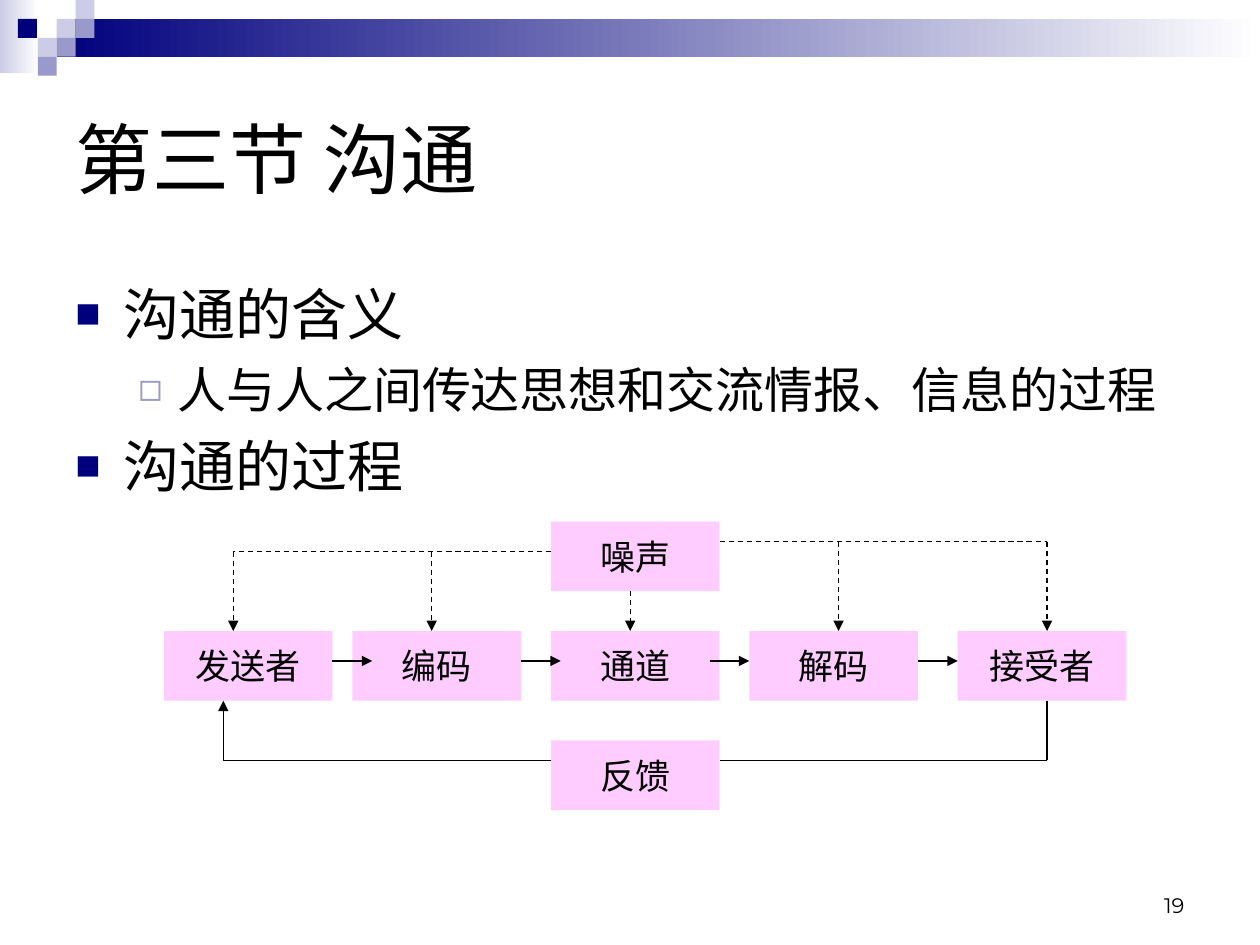
from collections import namedtuple
from dataclasses import dataclass

from lxml import etree
from pptx import Presentation
from pptx.dml.color import RGBColor
from pptx.enum.dml import MSO_LINE
from pptx.enum.shapes import MSO_CONNECTOR, MSO_SHAPE
from pptx.enum.text import MSO_ANCHOR, MSO_AUTO_SIZE, PP_ALIGN
from pptx.oxml.ns import qn
from pptx.util import Inches, Pt

RECT = MSO_SHAPE.RECTANGLE
LINE = MSO_CONNECTOR.STRAIGHT
DASH = MSO_LINE.DASH
LEFT, MID, RIGHT = PP_ALIGN.LEFT, PP_ALIGN.CENTER, PP_ALIGN.RIGHT
TOP, CENTER, BASE = MSO_ANCHOR.TOP, MSO_ANCHOR.MIDDLE, MSO_ANCHOR.BOTTOM
FIXED = MSO_AUTO_SIZE.NONE

Box = namedtuple("Box", "x y w h")
Level = namedtuple("Level", "size mark color scale indent hang gap")


@dataclass(frozen=True)
class Theme:
    ink: str = "000000"
    white: str = "FFFFFF"
    navy: str = "00007D"
    blue: str = "9999CC"
    pale: str = "CCCCE6"
    pink: str = "FFCCFF"
    latin: str = "Arial"
    digit: str = "Montserrat"
    asian: str = "Noto Sans CJK SC"
    title: int = 44
    label: int = 20
    page: int = 12
    line: float = 0.75
    levels: tuple = (
        Level(32, "■", "00007D", 75, 0.38, 0.38, 8),
        Level(28, "◻", "9999CC", 80, 0.81, 0.31, 7),
    )


T = Theme()
WIDE, HIGH = 10, 7.5


def rgb(code):
    return RGBColor.from_string(code)


def share(x, y, w, h):
    return Box(x * WIDE, y * HIGH, w * WIDE, h * HIGH)


def cells(box, cols, rows):
    dx, dy = box.w / cols, box.h / rows

    def cell(x, y, w=0, h=0):
        return Box(box.x + x * dx, box.y + y * dy, w * dx, h * dy)

    return cell


def write(para, text, size, face):
    run = para.add_run()
    run.text = text
    run.font.size = Pt(size)
    run.font.color.rgb = rgb(T.ink)
    run.font.name = face
    east = etree.SubElement(run.font._element, qn("a:ea"))
    east.set("typeface", T.asian)


def setup(shape, anchor, wrap=True):
    frame = shape.text_frame
    frame.auto_size = FIXED
    frame.word_wrap = wrap
    frame.vertical_anchor = anchor
    return frame


def block(slide, box, *colors):
    shape = slide.shapes.add_shape(RECT, *map(Inches, box))
    shape.shadow.inherit = False
    shape.line.fill.background()
    if len(colors) == 1:
        shape.fill.solid()
        shape.fill.fore_color.rgb = rgb(colors[0])
    else:
        shape.fill.gradient()
        shape.fill.gradient_angle = 0
        for stop, color in zip(shape.fill.gradient_stops, colors):
            stop.color.rgb = rgb(color)
    return shape


def link(slide, start, end, arrow=False, dash=False):
    ends = map(Inches, (start.x, start.y, end.x, end.y))
    wire = slide.shapes.add_connector(LINE, *ends)
    wire.line.color.rgb = rgb(T.ink)
    wire.line.width = Pt(T.line)
    if dash:
        wire.line.dash_style = DASH
    if arrow:
        tail = etree.SubElement(wire.line._get_or_add_ln(), qn("a:tailEnd"))
        tail.set("type", "triangle")
    etree.SubElement(wire._element.spPr, qn("a:effectLst"))


def banner(slide, box):
    cell = cells(box, 66.67, 4)
    block(slide, cell(0, 0, 2.07, 3.87), T.pale, T.white)
    block(slide, cell(3, 1, 63.67, 2), T.navy, T.white)
    tiles = (
        (3, 1, T.pale), (4, 0, T.pale), (4, 1, T.blue), (2, 2, T.pale),
        (0.95, 1, T.navy), (3, 2, T.blue), (2, 3, T.blue),
    )
    for x, y, color in tiles:
        block(slide, cell(x, y, 1, 1), color)


def heading(slide, box, text):
    shape = slide.shapes.title
    shape.left, shape.top, shape.width, shape.height = map(Inches, box)
    para = setup(shape, CENTER).paragraphs[0]
    para.alignment = LEFT
    write(para, text, T.title, T.latin)


def bullet(para, level):
    props = para._p.get_or_add_pPr()
    props.set("marL", str(Inches(level.indent)))
    props.set("indent", str(-Inches(level.hang)))
    tint = etree.SubElement(props, qn("a:buClr"))
    etree.SubElement(tint, qn("a:srgbClr")).set("val", level.color)
    etree.SubElement(props, qn("a:buSzPct")).set("val", str(level.scale * 1000))
    etree.SubElement(props, qn("a:buFont")).set("typeface", T.latin)
    etree.SubElement(props, qn("a:buChar")).set("char", level.mark)


def outline(slide, box, items):
    frame = setup(slide.shapes.add_textbox(*map(Inches, box)), TOP)
    for i, (depth, text) in enumerate(items):
        para = frame.add_paragraph() if i else frame.paragraphs[0]
        level = T.levels[depth]
        para.level = depth
        bullet(para, level)
        if i:
            para.space_before = Pt(level.gap)
        write(para, text, level.size, T.latin)


def node(slide, box, text):
    para = setup(block(slide, box, T.pink), CENTER, False).paragraphs[0]
    para.alignment = MID
    write(para, text, T.label, T.asian)


def process(slide, box):
    cell = cells(box, 97, 29)
    wide, tall, hub = 17, 7, 39
    top, mid, low = 0, 11, 22
    steps = ((0, "发送者"), (19, "编码"), (hub, "通道"), (59, "解码"), (80, "接受者"))
    for x, text in steps:
        node(slide, cell(x, mid, wide, tall), text)
    node(slide, cell(hub, top, wide, tall), "噪声")
    node(slide, cell(hub, low, wide, tall), "反馈")

    def wire(x, y, to_x, to_y, arrow=False, dash=False):
        link(slide, cell(x, y), cell(to_x, to_y), arrow, dash)

    for x in (17, 36, 55, 76):
        wire(x, 14, x + 4, 14, arrow=True)

    first, last, back = 6, 89, 24
    wire(last, mid + tall, last, back)
    wire(last, back, hub + wide, back)
    wire(hub, back, first, back)
    wire(first, back, first, mid + tall, arrow=True)

    wire(hub, 3, 7, 3, dash=True)
    wire(hub + wide, 2, last, 2, dash=True)
    for x, y in ((7, 3), (27, 3), (47, tall), (68, 2), (last, 2)):
        wire(x, y, x, mid, arrow=True, dash=True)


def number(slide, box, text):
    para = setup(slide.shapes.add_textbox(*map(Inches, box)), BASE).paragraphs[0]
    para.alignment = RIGHT
    write(para, text, T.page, T.digit)


def main():
    deck = Presentation()
    deck.slide_width, deck.slide_height = Inches(WIDE), Inches(HIGH)
    slide = deck.slides.add_slide(deck.slide_layouts.get_by_name("Title Only"))
    banner(slide, share(0, 0, 1, 0.08))
    number(slide, Box(7.17, 6.83, 2.33, 0.5), "19")
    heading(slide, share(0.05, 1 / 15, 0.9, 0.2), "第三节 沟通")
    outline(slide, Box(0.5, 2.17, 9, 1.98), (
        (0, "沟通的含义"),
        (1, "人与人之间传达思想和交流情报、信息的过程"),
        (0, "沟通的过程"),
    ))
    process(slide, Box(1.3, 4.14, 7.64, 2.29))
    deck.save("out.pptx")


if __name__ == "__main__":
    main()
